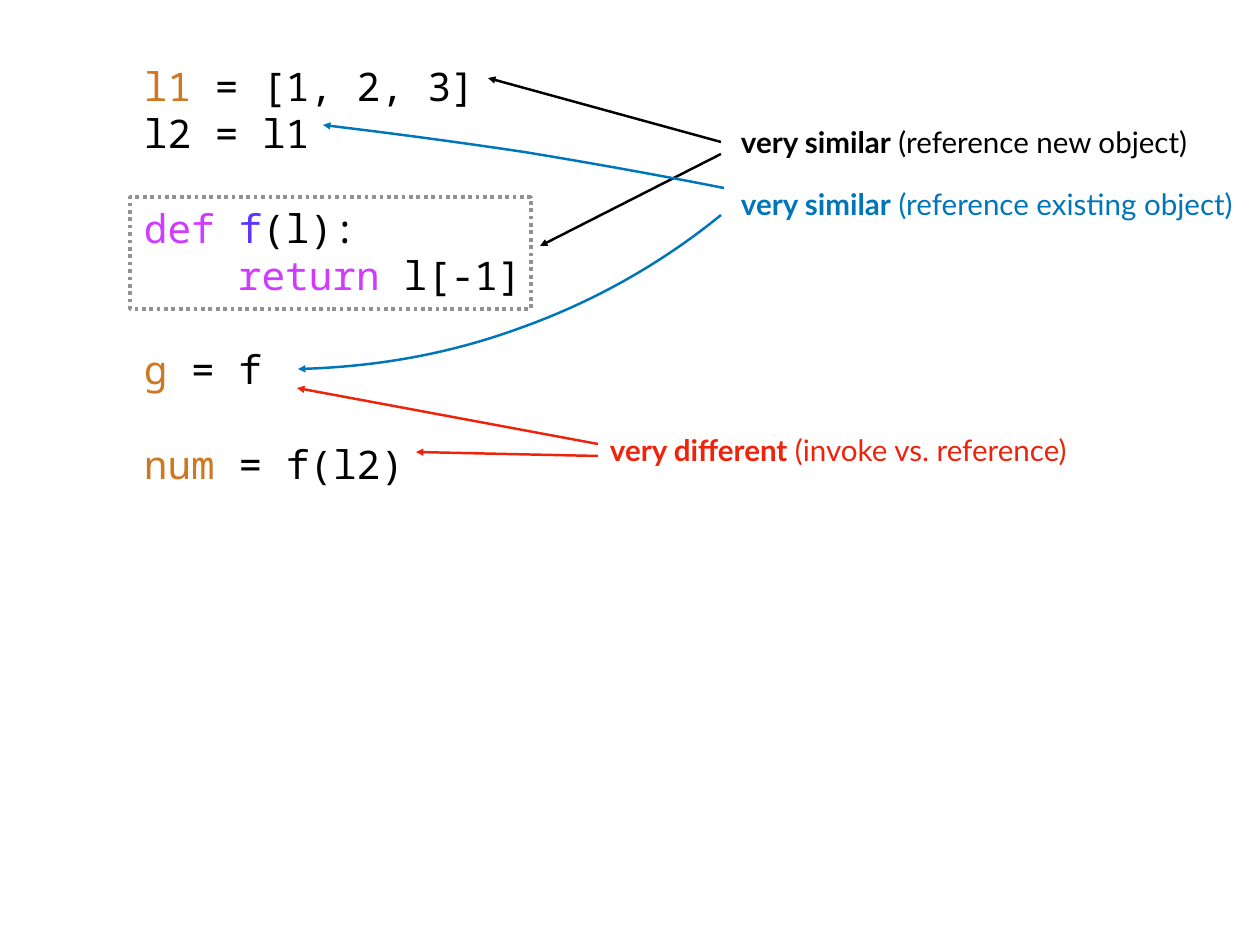
from lxml import etree
from pptx import Presentation
from pptx.dml.color import RGBColor
from pptx.enum.dml import MSO_LINE
from pptx.enum.shapes import MSO_CONNECTOR, MSO_SHAPE
from pptx.enum.text import MSO_ANCHOR, MSO_AUTO_SIZE
from pptx.oxml.ns import qn
from pptx.util import Pt

STRAIGHT = MSO_CONNECTOR.STRAIGHT
RECTANGLE = MSO_SHAPE.RECTANGLE
DOTTED = MSO_LINE.ROUND_DOT
MIDDLE = MSO_ANCHOR.MIDDLE
FIT_SHAPE = MSO_AUTO_SIZE.SHAPE_TO_FIT_TEXT

EMU_PER_PIXEL = 914400 / 88.6
BLACK, BLUE, RED, GRAY = "000000", "0076BA", "EE230C", "929292"
ORANGE, PURPLE, INDIGO = "CD7923", "D03BFF", "5E34FF"


def px(*lengths):
    return [round(length * EMU_PER_PIXEL) for length in lengths]


def color(value):
    return RGBColor.from_string(value)


class SlideBuilder:
    label_font, label_size = "Lato", 24
    code_font, code_size = "Noto Sans Mono", 32
    code_line_height = 38.3
    code_indent = 94
    inset = 5
    arrow_width = 2

    def __init__(self, slide):
        self.slide = slide

    def text_box(self, left, top, width, height):
        shape = self.slide.shapes.add_textbox(*px(left, top, width, height))
        frame = shape.text_frame
        frame.word_wrap = False
        frame.auto_size = FIT_SHAPE
        frame.vertical_anchor = MIDDLE
        margin = px(self.inset)[0]
        frame.margin_left = frame.margin_right = margin
        frame.margin_top = frame.margin_bottom = margin
        return frame

    def run(self, paragraph, text, font, size, hue, bold=False):
        run = paragraph.add_run()
        run.text = text
        run.font.name = font
        run.font.size = Pt(size)
        run.font.bold = bold
        run.font.color.rgb = color(hue)

    def label(self, box, title, detail, hue):
        paragraph = self.text_box(*box).paragraphs[0]
        for text, bold in ((title, True), (detail, False)):
            self.run(paragraph, text, self.label_font, self.label_size, hue, bold)

    def code(self, box, lines):
        frame = self.text_box(*box)
        for number, (gap, indent, pieces) in enumerate(lines):
            paragraph = frame.add_paragraph() if number else frame.paragraphs[0]
            paragraph.space_before = Pt(gap * self.code_line_height)
            properties = paragraph._p.get_or_add_pPr()
            properties.set("marL", str(px(indent * self.code_indent)[0]))
            properties.set("indent", "0")
            for text, hue in pieces:
                self.run(paragraph, text, self.code_font, self.code_size, hue)

    def frame(self, box, hue, width):
        shape = self.slide.shapes.add_shape(RECTANGLE, *px(*box))
        shape.shadow.inherit = False
        shape.fill.background()
        shape.line.color.rgb = color(hue)
        shape.line.width = Pt(width)
        shape.line.dash_style = DOTTED

    def point_at_end(self, shape, hue):
        shape.line.color.rgb = color(hue)
        shape.line.width = Pt(self.arrow_width)
        properties = shape._element.spPr
        outline = properties.find(qn("a:ln"))
        etree.SubElement(outline, qn("a:tailEnd"), type="triangle")
        etree.SubElement(properties, qn("a:effectLst"))

    def arrow(self, start, end, hue):
        connector = self.slide.shapes.add_connector(STRAIGHT, *px(*start, *end))
        self.point_at_end(connector, hue)

    def curved_arrow(self, points, hue):
        start, *controls = [px(*point) for point in points]
        builder = self.slide.shapes.build_freeform(*start)
        builder.add_line_segments(controls, close=False)
        shape = builder.convert_to_shape()
        shape.fill.background()
        outline = next(shape._element.iter(qn("a:path")))
        segments = outline.findall(qn("a:lnTo"))
        for first in range(0, len(segments), 3):
            curve = etree.SubElement(outline, qn("a:cubicBezTo"))
            for segment in segments[first:first + 3]:
                curve.append(segment[0])
                outline.remove(segment)
        self.point_at_end(shape, hue)


presentation = Presentation()
presentation.slide_width, presentation.slide_height = px(1260, 945)
slide = presentation.slides.add_slide(presentation.slide_layouts[6])
builder = SlideBuilder(slide)

builder.label((736, 120, 470, 44), "very similar", " (reference new object)", BLACK)
builder.frame((130, 197, 401, 112), GRAY, 3)
builder.arrow((721, 142), (488, 78), BLACK)
builder.arrow((721, 154), (540, 246), BLACK)

builder.label((736, 182, 510, 44), "very similar", " (reference existing object)", BLUE)
builder.curved_arrow([(724, 188), (658, 175), (591, 163), (524, 152),
                      (457, 142), (390, 133), (323, 125)], BLUE)
builder.curved_arrow([(721, 215), (662, 263), (595, 301), (523, 327),
                      (450, 354), (374, 367), (298, 369)], BLUE)

builder.label((605, 428, 479, 44), "very different", " (invoke vs. reference)", RED)
builder.arrow((598, 444), (297, 388), RED)
builder.arrow((598, 456), (416, 452), RED)

builder.code((139, 55, 392, 439), [
    (0, 0, [("l1", ORANGE), (" = [1, 2, 3]", BLACK)]),
    (0, 0, [("l2 = l1", BLACK)]),
    (1, 0, [("def ", PURPLE), ("f", INDIGO), ("(l):", BLACK)]),
    (0, 1, [("return ", PURPLE), ("l[-1]", BLACK)]),
    (1, 0, [("g", ORANGE), (" = f", BLACK)]),
    (1, 0, [("num", ORANGE), (" = f(l2)", BLACK)]),
])

presentation.save("out.pptx")
